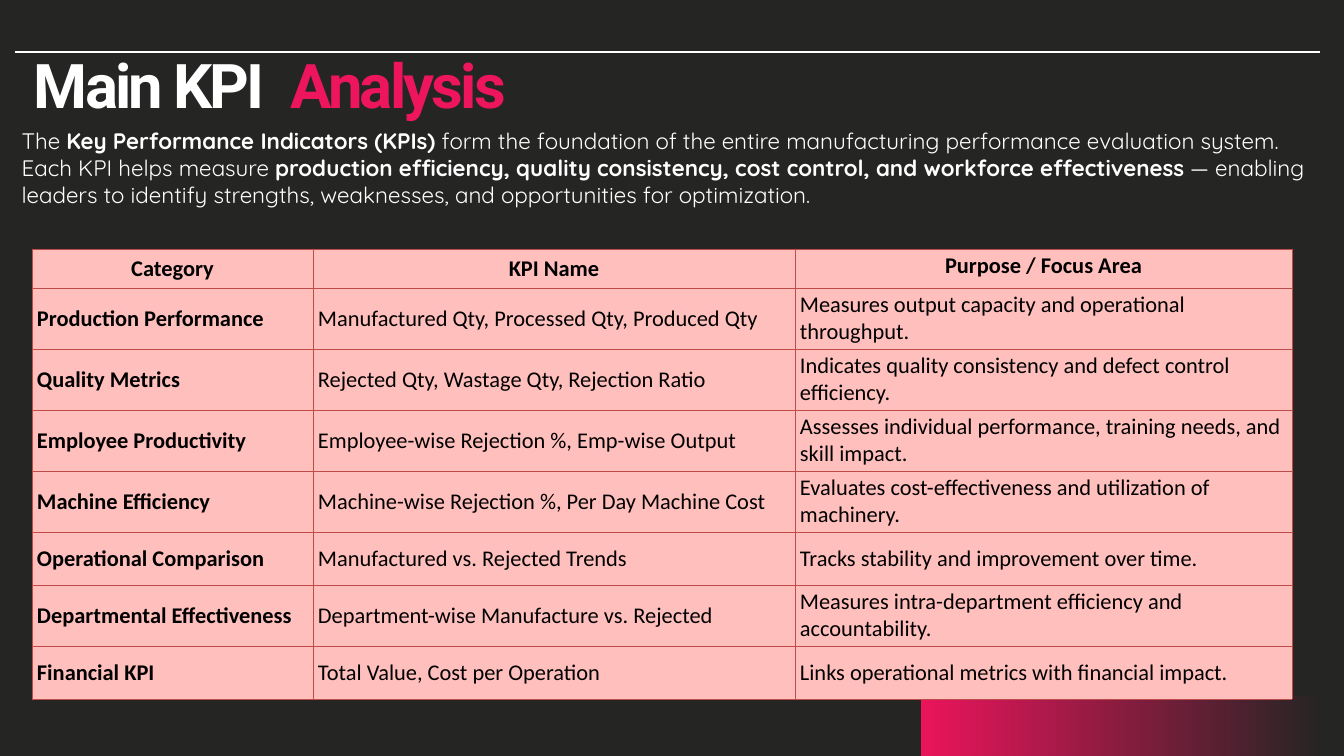
import pptx
import pptx.dml.color
import pptx.enum.shapes
import pptx.enum.text
import pptx.oxml
import pptx.oxml.ns
import pptx.util
from dataclasses import dataclass
from lxml import etree

PX = 18288000 / 1344
SLIDE = (1344, 756)

TITLE = [("Analysis", "accent", 291), ("Main KPI", "light", 34)]
TITLE_TOP, TITLE_SIZE = 52, (325, 71)
RULE = (15, 1320, 52)
GLOW = (922, 697, 400, 59)

INTRO_BOX = (15, 124, 1307, 116)
INTRO = [
    ("The ", False),
    ("Key Performance Indicators (KPIs)", True),
    (" form the foundation of the entire manufacturing performance evaluation system.\n"
     "Each KPI helps measure ", False),
    ("production efficiency, quality consistency, cost control, and workforce effectiveness", True),
    (" — enabling leaders to identify strengths, weaknesses, and opportunities for optimization.", False),
]

TABLE_AT = (32, 249)
COLUMNS = [281, 482, 497]
HEADER_HEIGHT, ONE_LINE, TWO_LINES = 39, 53, 61
HEADER = ("Category", "KPI Name", "Purpose / Focus Area")
KPIS = [
    (TWO_LINES, "Production Performance", "Manufactured Qty, Processed Qty, Produced Qty",
     "Measures output capacity and operational throughput."),
    (TWO_LINES, "Quality Metrics", "Rejected Qty, Wastage Qty, Rejection Ratio",
     "Indicates quality consistency and defect control efficiency."),
    (TWO_LINES, "Employee Productivity", "Employee-wise Rejection %, Emp-wise Output",
     "Assesses individual performance, training needs, and skill impact."),
    (TWO_LINES, "Machine Efficiency", "Machine-wise Rejection %, Per Day Machine Cost",
     "Evaluates cost-effectiveness and utilization of machinery."),
    (ONE_LINE, "Operational Comparison", "Manufactured vs. Rejected Trends",
     "Tracks stability and improvement over time."),
    (TWO_LINES, "Departmental Effectiveness", "Department-wise Manufacture vs. Rejected",
     "Measures intra-department efficiency and accountability."),
    (ONE_LINE, "Financial KPI", "Total Value, Cost per Operation",
     "Links operational metrics with financial impact."),
]


@dataclass(frozen=True)
class Theme:
    background: str = "252524"
    accent: str = "ED155D"
    light: str = "FFFFFF"
    dark: str = "000000"
    cell: str = "FFBFBD"
    border: str = "BF4C48"
    title_size: int = 66
    title_leading: float = 73.6
    body_size: int = 24
    title_font: str = "Roboto"
    intro_font: str = "Quicksand"
    table_font: str = "Calibri"


THEME = Theme()


def px(value):
    return pptx.util.Emu(round(value * PX))


def rgb(value):
    return pptx.dml.color.RGBColor.from_string(value)


def write(frame, spans, *, font, size, color, align=None, leading=None, spacing=None):
    """Fill the first paragraph with (text, bold) spans; a newline is a line break."""
    para = frame.paragraphs[0]
    para.alignment = align
    if leading:
        para.line_spacing = pptx.util.Pt(leading)
    for text, bold in spans:
        for index, line in enumerate(text.split("\n")):
            if index:
                para.add_line_break()
            span = para.add_run()
            span.text = line
            span.font.name = font
            span.font.size = pptx.util.Pt(size)
            span.font.bold = bold
            span.font.color.rgb = rgb(color)
            if spacing:
                span.font._element.set("spc", str(spacing * 100))


def add_box(page, at):
    frame = page.shapes.add_textbox(*map(px, at)).text_frame
    frame.word_wrap = True
    return frame


def add_title(page, text, color, left):
    frame = add_box(page, (left, TITLE_TOP, *TITLE_SIZE))
    frame.margin_left = frame.margin_right = frame.margin_top = frame.margin_bottom = 0
    write(frame, [(text, True)], font=THEME.title_font, size=THEME.title_size,
          color=color, leading=THEME.title_leading, spacing=-3)


def add_glow(page):
    """Add the corner band that fades from the accent to clear."""
    band = page.shapes.add_shape(pptx.enum.shapes.MSO_SHAPE.RECTANGLE, *map(px, GLOW))
    band.shadow.inherit = False
    band.line.fill.background()
    band.fill.gradient()
    band.fill.gradient_angle = 0
    for stop, position in zip(band.fill.gradient_stops, (0, 1)):
        stop.position = position
        stop.color.rgb = rgb(THEME.accent)
    clear = band._element.findall(".//" + pptx.oxml.ns.qn("a:srgbClr"))[1]
    etree.SubElement(clear, pptx.oxml.ns.qn("a:alpha"), val="0")


def add_rule(page):
    left, right, y = RULE
    rule = page.shapes.add_connector(pptx.enum.shapes.MSO_CONNECTOR.STRAIGHT,
                                     px(left), px(y), px(right), px(y))
    rule.line.color.rgb = rgb(THEME.light)
    rule.line.width = pptx.util.Pt(1.5)
    etree.SubElement(rule._element.spPr, pptx.oxml.ns.qn("a:effectLst"))


def style_cell(cell):
    cell.margin_left = cell.margin_right = px(5)
    cell.margin_top = cell.margin_bottom = px(3)
    cell.vertical_anchor = pptx.enum.text.MSO_ANCHOR.MIDDLE
    properties = cell._tc.get_or_add_tcPr()
    for side in ("lnL", "lnR", "lnT", "lnB"):
        edge = etree.SubElement(properties, pptx.oxml.ns.qn("a:" + side),
                                w=str(pptx.util.Pt(0.75)))
        fill = etree.SubElement(edge, pptx.oxml.ns.qn("a:solidFill"))
        etree.SubElement(fill, pptx.oxml.ns.qn("a:srgbClr"), val=THEME.border)
    cell.fill.solid()
    cell.fill.fore_color.rgb = rgb(THEME.cell)


def add_kpi_table(page):
    rows = [(HEADER_HEIGHT, *HEADER), *KPIS]
    size = (sum(COLUMNS), sum(row[0] for row in rows))
    table = page.shapes.add_table(len(rows), len(COLUMNS),
                                  *map(px, TABLE_AT + size)).table
    table.horz_banding = False
    for column, width in zip(table.columns, COLUMNS):
        column.width = px(width)
    for r, (height, *texts) in enumerate(rows):
        table.rows[r].height = px(height)
        for c, text in enumerate(texts):
            cell = table.cell(r, c)
            style_cell(cell)
            write(cell.text_frame, [(text, r == 0 or c == 0)], font=THEME.table_font,
                  size=THEME.body_size, color=THEME.dark,
                  align=pptx.enum.text.PP_ALIGN.CENTER if r == 0 else None)
    table.cell(0, len(COLUMNS) - 1).vertical_anchor = pptx.enum.text.MSO_ANCHOR.TOP


def main():
    deck = pptx.Presentation()
    deck.slide_width, deck.slide_height = map(px, SLIDE)
    page = deck.slides.add_slide(deck.slide_layouts[6])
    page.background.fill.solid()
    page.background.fill.fore_color.rgb = rgb(THEME.background)

    add_glow(page)
    for text, color, left in TITLE:
        add_title(page, text, getattr(THEME, color), left)
    add_rule(page)
    write(add_box(page, INTRO_BOX), INTRO, font=THEME.intro_font,
          size=THEME.body_size, color=THEME.light)
    add_kpi_table(page)
    deck.save("out.pptx")


if __name__ == "__main__":
    main()
